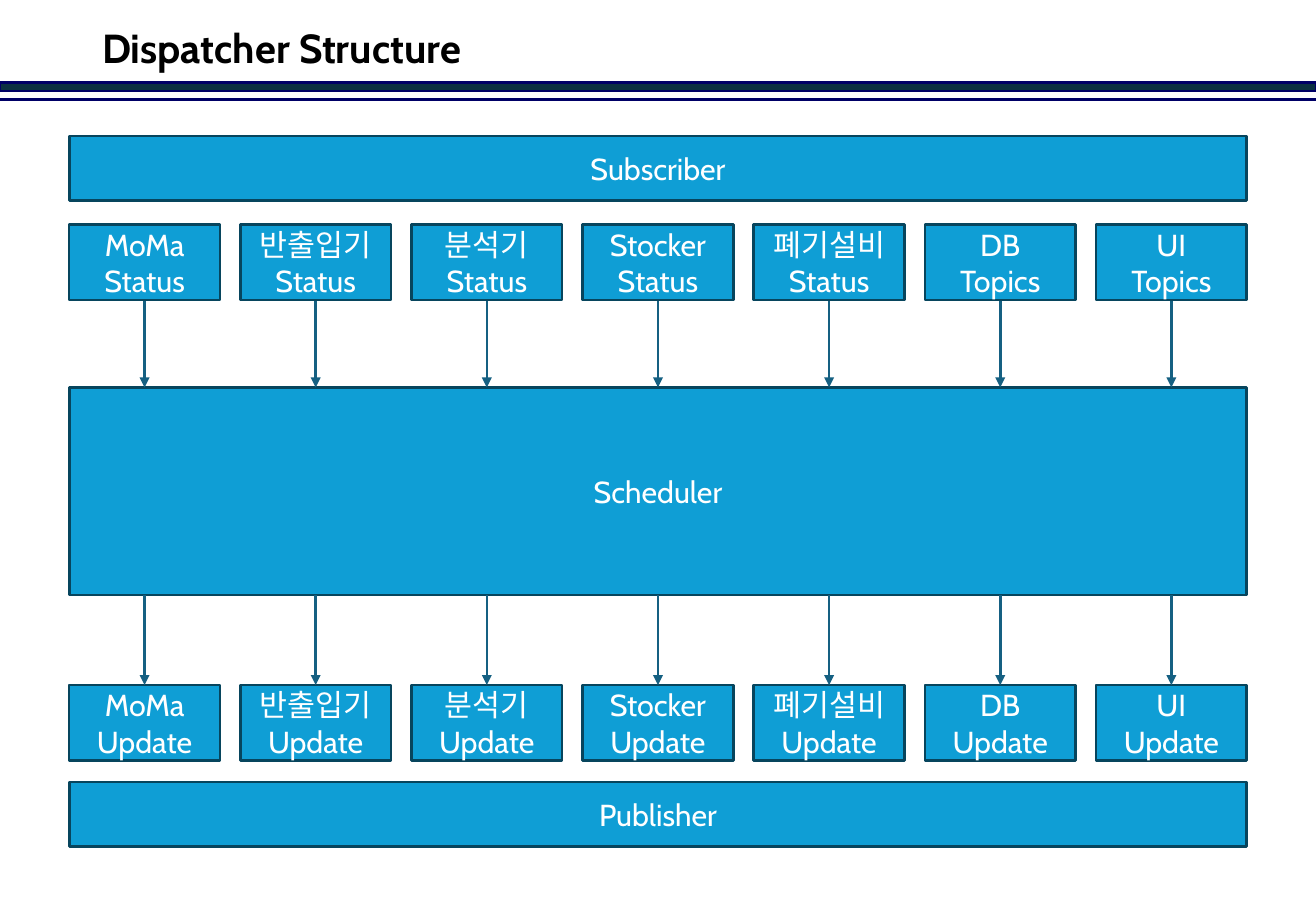
from lxml.etree import SubElement
from pptx import Presentation
from pptx.dml.color import RGBColor
from pptx.enum.shapes import MSO_CONNECTOR as Link, MSO_SHAPE as Shape
from pptx.enum.text import MSO_ANCHOR as Anchor, PP_ALIGN as Align
from pptx.oxml.ns import qn
from pptx.util import Inches, Pt


def color(code):
    """Turn a hex string into a colour."""
    return RGBColor.from_string(code)


class Board:
    """Hold the slide and the style of its elements."""

    font = "Cabin"
    blue, edge, teal = "0F9ED5", "07455D", "156082"
    navy, dark = "000066", "0B3041"

    def __init__(self, slide):
        """Keep the slide to draw on."""
        self.slide = slide

    def label(self, para, text, size, tint, bold=False):
        """Add the lines of a text to a paragraph, one run each."""
        for i, line in enumerate(text.split("\n")):
            if i:
                para.add_line_break()
            run = para.add_run()
            run.text = line
            font = run.font
            font.name, font.size, font.bold = self.font, Pt(size), bold
            font.color.rgb = color(tint)

    def title(self, text, x, y, w, h):
        """Place and fill the title."""
        shape = self.slide.shapes.title
        shape.left, shape.top = Inches(x), Inches(y)
        shape.width, shape.height = Inches(w), Inches(h)
        frame = shape.text_frame
        frame.vertical_anchor = Anchor.MIDDLE
        para = frame.paragraphs[0]
        para.alignment, para.line_spacing = Align.LEFT, 0.9
        self.label(para, text, 24, "000000", True)

    def box(self, x, y, w, h, text="", fill=blue, line=edge):
        """Draw a rectangle with centred text."""
        shape = self.slide.shapes.add_shape(
            Shape.RECTANGLE, Inches(x), Inches(y), Inches(w), Inches(h))
        shape.shadow.inherit = False
        shape.fill.solid()
        shape.fill.fore_color.rgb = color(fill)
        shape.line.color.rgb = color(line)
        shape.line.width = Pt(1.5)
        if text:
            frame = shape.text_frame
            frame.word_wrap = False
            frame.vertical_anchor = Anchor.MIDDLE
            para = frame.paragraphs[0]
            para.alignment = Align.CENTER
            self.label(para, text, 18, "FFFFFF")

    def rule(self, x1, y1, x2, y2, tint=teal, arrow=True):
        """Draw a straight line, with an arrowhead if wanted."""
        link = self.slide.shapes.add_connector(
            Link.STRAIGHT, Inches(x1), Inches(y1), Inches(x2), Inches(y2))
        link.line.color.rgb = color(tint)
        link.line.width = Pt(1.5)
        props = link._element.spPr
        if arrow:
            SubElement(props.find(qn("a:ln")), qn("a:tailEnd"), type="triangle")
        SubElement(props, qn("a:effectLst"))


def main():
    """Build the slide and save it."""
    deck = Presentation()
    deck.slide_width, deck.slide_height = Inches(10.83), Inches(7.5)
    board = Board(deck.slides.add_slide(deck.slide_layouts[5]))

    board.box(0, 0.68, 10.83, 0.07, fill=board.dark, line=board.navy)
    board.rule(0, 0.82, 10.83, 0.82, board.navy, False)
    board.title("Dispatcher Structure", 0.74, 0.15, 9.35, 0.53)

    left, width = 0.57, 9.69
    for text, top, high in (("Subscriber", 1.12, 0.53),
                            ("Scheduler", 3.19, 1.71),
                            ("Publisher", 6.44, 0.53)):
        board.box(left, top, width, high, text)

    units = (("MoMa", "Status"), ("반출입기", "Status"), ("분석기", "Status"),
             ("Stocker", "Status"), ("폐기설비", "Status"),
             ("DB", "Topics"), ("UI", "Topics"))
    wide, high = 1.24, 0.62
    step = (width - wide) / (len(units) - 1)
    for i, (name, kind) in enumerate(units):
        x = left + i * step
        mid = x + wide / 2
        board.box(x, 1.85, wide, high, f"{name}\n{kind}")
        board.box(x, 5.64, wide, high, f"{name}\nUpdate")
        board.rule(mid, 2.48, mid, 3.19)
        board.rule(mid, 4.9, mid, 5.64)

    deck.save("out.pptx")


if __name__ == "__main__":
    main()
